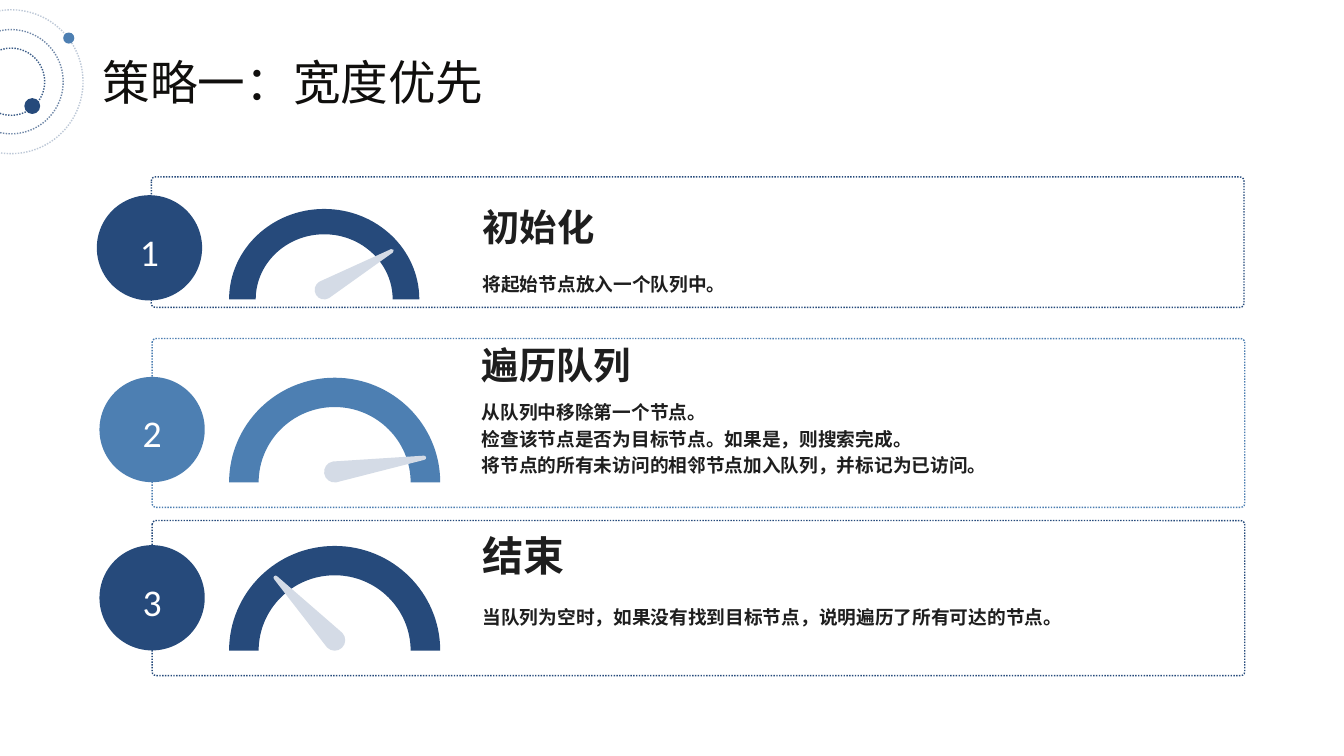
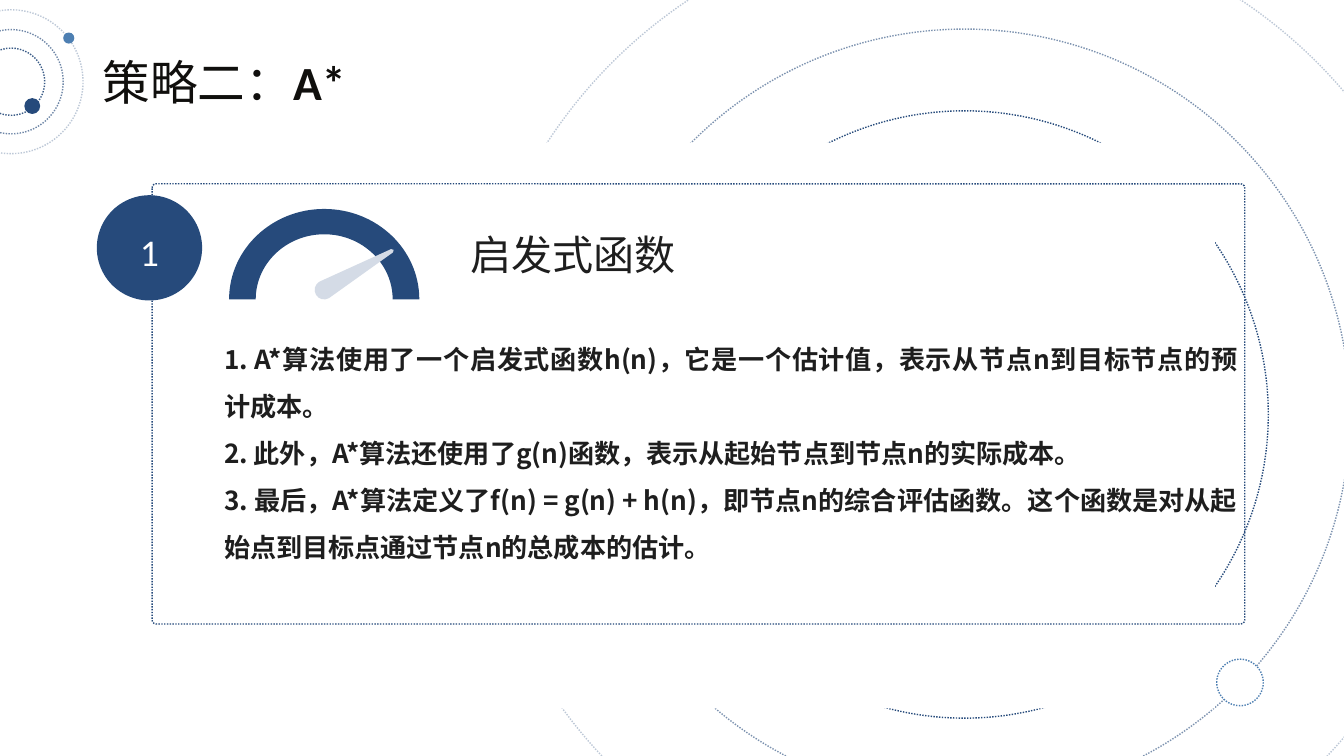
from dataclasses import dataclass
from math import cos, radians, sin, tan

from lxml.etree import SubElement
from pptx import Presentation
from pptx.dml.color import RGBColor
from pptx.enum.dml import MSO_LINE_DASH_STYLE as Dash
from pptx.enum.shapes import MSO_SHAPE as Preset
from pptx.enum.text import MSO_ANCHOR as Anchor, PP_ALIGN as Align
from pptx.oxml.ns import qn
from pptx.shapes.autoshape import Shape
from pptx.slide import Slide
from pptx.util import Cm, Pt

Point = tuple[float, float]
Segment = tuple[Point, ...]


@dataclass(frozen=True)
class Theme:
    navy: str = "264A7B"
    blue: str = "4D7FB2"
    needle: str = "D4DBE6"
    white: str = "FFFFFF"
    title: str = "100F0D"
    ink: str = "1E1E1E"
    latin: str = "Calibri"
    chinese: str = "Noto Sans CJK SC"
    title_size: float = 51
    number_size: float = 40.4
    heading_size: float = 40
    large_heading_size: float = 44
    body_size: float = 20
    large_body_size: float = 28
    line_width: float = 1.5


THEME = Theme()


@dataclass(frozen=True)
class Area:
    left: float
    top: float
    width: float
    height: float

    def lengths(self) -> tuple[Cm, Cm, Cm, Cm]:
        return Cm(self.left), Cm(self.top), Cm(self.width), Cm(self.height)


@dataclass(frozen=True)
class Circle:
    x: float
    y: float
    radius: float

    def area(self) -> Area:
        side = 2 * self.radius
        return Area(self.x - self.radius, self.y - self.radius, side, side)


@dataclass(frozen=True)
class TextStyle:
    size: float
    color: str
    font: str
    spacing: Pt | float
    bold: bool = False
    align: Align = Align.LEFT


@dataclass(frozen=True)
class Span:
    text: str
    bold: bool = False


@dataclass(frozen=True)
class Gauge:
    width: float
    height: float
    base: float
    angle: float
    reach: float
    left: float = 8.66


@dataclass(frozen=True)
class Step:
    number: str
    color: str
    panel: Area
    gauge: Gauge
    badge: Circle
    heading: str
    heading_area: Area
    heading_style: TextStyle
    lines: tuple[str, ...]
    body_area: Area
    body_style: TextStyle


TITLE = TextStyle(THEME.title_size, THEME.title, THEME.latin, Pt(61.2))
NUMBER = TextStyle(THEME.number_size, THEME.white, THEME.latin, Pt(48.4), align=Align.CENTER)
HEADING = TextStyle(THEME.heading_size, THEME.ink, THEME.chinese, Pt(43.7), True)
END_HEADING = TextStyle(THEME.large_heading_size, THEME.ink, THEME.chinese, Pt(43.7), True)
PLAIN_HEADING = TextStyle(THEME.large_heading_size, THEME.ink, THEME.latin, Pt(43.7))
BODY = TextStyle(THEME.body_size, THEME.ink, THEME.chinese, Pt(28.6), True, Align.JUSTIFY)
LARGE_BODY = TextStyle(THEME.large_body_size, THEME.ink, THEME.chinese, 1.5, True, Align.JUSTIFY)

FIRST_GAUGE = Gauge(7.19, 3.42, 11.32, 30, 2.96)
FIRST_BADGE = Circle(5.65, 9.37, 1.99)

SEARCH_STEPS = (
    Step("1", THEME.navy, Area(5.72, 6.69, 41.3, 4.93), FIRST_GAUGE, FIRST_BADGE,
         "初始化", Area(18.24, 7.87, 7.34, 1.55), HEADING,
         ("将起始节点放入一个队列中。",), Area(18.24, 10.15, 27.41, 1.02), BODY),
    Step("2", THEME.blue, Area(5.75, 12.8, 41.3, 6.38),
         Gauge(7.98, 3.96, 18.24, 9, 3.42), Circle(5.75, 16.24, 1.99),
         "遍历队列", Area(18.21, 13.08, 7.34, 1.52), HEADING,
         ("从队列中移除第一个节点。",
          "检查该节点是否为目标节点。如果是，则搜索完成。",
          "将节点的所有未访问的相邻节点加入队列，并标记为已访问。"),
         Area(18.21, 14.99, 27.41, 4.32), BODY),
    Step("3", THEME.navy, Area(5.75, 19.68, 41.3, 5.86),
         Gauge(7.98, 3.96, 24.6, 133.4, 3.25), Circle(5.75, 22.6, 1.99),
         "结束", Area(18.24, 20.38, 7.34, 1.55), END_HEADING,
         ("当队列为空时，如果没有找到目标节点，说明遍历了所有可达的节点。",),
         Area(18.24, 22.76, 27.41, 1.02), BODY),
)

HEURISTIC_STEP = Step(
    "1", THEME.navy, Area(5.75, 6.95, 41.3, 16.64), FIRST_GAUGE, FIRST_BADGE,
    "启发式函数", Area(17.78, 8.99, 8.23, 2.29), PLAIN_HEADING,
    ("1. A*算法使用了一个启发式函数h(n)，它是一个估计值，表示从节点n到目标节点的预计成本。",
     "2. 此外，A*算法还使用了g(n)函数，表示从起始节点到节点n的实际成本。",
     "3. 最后，A*算法定义了f(n) = g(n) + h(n)，即节点n的综合评估函数。"
     "这个函数是对从起始点到目标点通过节点n的总成本的估计。"),
    Area(8.47, 12.38, 38.3, 11.58), LARGE_BODY)


def paint(shape: Shape, fill: str | None = None, line: str | None = None, opacity: int = 100) -> None:
    shape.shadow.inherit = False
    if fill:
        shape.fill.solid()
        shape.fill.fore_color.rgb = RGBColor.from_string(fill)
    else:
        shape.fill.background()
    if not line:
        shape.line.fill.background()
        return
    shape.line.color.rgb = RGBColor.from_string(line)
    shape.line.width = Pt(THEME.line_width)
    shape.line.dash_style = Dash.ROUND_DOT
    if opacity < 100:
        color = shape.line._ln.find(".//" + qn("a:srgbClr"))
        SubElement(color, qn("a:alpha")).set("val", str(opacity * 1000))


def add_preset(page: Slide, preset: Preset, area: Area, fill: str | None = None,
               line: str | None = None, opacity: int = 100) -> Shape:
    shape = page.shapes.add_shape(preset, *area.lengths())
    paint(shape, fill, line, opacity)
    return shape


def add_outline(page: Slide, segments: list[Segment], fill: str) -> None:
    corners = [(Cm(x), Cm(y)) for segment in segments for x, y in segment]
    builder = page.shapes.build_freeform(*corners[0])
    builder.add_line_segments(corners[1:], close=True)
    shape = builder.convert_to_shape()
    steps = iter(shape._element.findall(".//" + qn("a:lnTo")))
    for segment in segments[1:]:
        first, *others = [next(steps) for _ in segment]
        if others:
            curve = SubElement(first.getparent(), qn("a:cubicBezTo"))
            first.addprevious(curve)
            for step in (first, *others):
                curve.append(step[0])
                step.getparent().remove(step)
    paint(shape, fill)


def add_text(page: Slide, area: Area, paragraphs: list[list[Span]], style: TextStyle) -> None:
    frame = page.shapes.add_textbox(*area.lengths()).text_frame
    frame.word_wrap = True
    frame.vertical_anchor = Anchor.TOP
    frame.margin_left = frame.margin_top = frame.margin_right = frame.margin_bottom = 0
    for index, spans in enumerate(paragraphs):
        para = frame.add_paragraph() if index else frame.paragraphs[0]
        para.alignment = style.align
        para.line_spacing = style.spacing
        for span in spans:
            run = para.add_run()
            run.text = span.text
            run.font.size = Pt(style.size)
            run.font.name = style.font
            run.font.bold = style.bold or span.bold
            run.font.color.rgb = RGBColor.from_string(style.color)
            east_asian = SubElement(run.font._element, qn("a:ea"))
            east_asian.set("typeface", THEME.chinese)


def arc(x: float, y: float, across: float, up: float, start: float, end: float) -> list[Segment]:
    def place(angle: float, pull: float = 0) -> Point:
        return (x + across * (cos(angle) - pull * sin(angle)),
                y - up * (sin(angle) + pull * cos(angle)))

    first, middle, last = (radians(angle) for angle in (start, (start + end) / 2, end))
    pull = 4 / 3 * tan((middle - first) / 4)
    return [(place(first),)] + [(place(a, pull), place(b, -pull), place(b))
                                for a, b in ((first, middle), (middle, last))]


def add_gauge(page: Slide, gauge: Gauge, color: str) -> None:
    half = gauge.width / 2
    center = gauge.left + half
    inner = 0.72
    add_outline(page, arc(center, gauge.base, half, gauge.height, 180, 0)
                + arc(center, gauge.base, half * inner, gauge.height * inner, 0, 180), color)
    hub, tip = gauge.width * 0.05, gauge.width * 0.01
    pivot = gauge.base - hub
    angle = gauge.angle
    tip_x = center + gauge.reach * cos(radians(angle))
    tip_y = pivot - gauge.reach * sin(radians(angle))
    add_outline(page, arc(center, pivot, hub, hub, angle + 90, angle + 270)
                + arc(tip_x, tip_y, tip, tip, angle - 90, angle + 90), THEME.needle)


def add_orbits(page: Slide, x: float, y: float, rings: tuple[tuple[float, int], ...]) -> None:
    for radius, opacity in rings:
        add_preset(page, Preset.OVAL, Circle(x, y, radius).area(), line=THEME.navy, opacity=opacity)


def add_header(page: Slide, spans: list[Span]) -> None:
    add_text(page, Area(3.88, 2.01, 17.37, 2.18), [spans], TITLE)
    add_orbits(page, 0.42, 3.09, ((2.72, 30), (1.97, 65), (1.27, 90)))
    add_preset(page, Preset.OVAL, Circle(1.22, 4.01, 0.3).area(), THEME.navy)
    add_preset(page, Preset.OVAL, Circle(2.6, 1.44, 0.21).area(), THEME.blue)


def add_step(page: Slide, step: Step) -> None:
    panel = add_preset(page, Preset.ROUNDED_RECTANGLE, step.panel, line=step.color)
    panel.adjustments[0] = 0.15 / step.panel.height
    add_gauge(page, step.gauge, step.color)
    add_text(page, step.body_area, [[Span(line)] for line in step.lines], step.body_style)
    add_text(page, step.heading_area, [[Span(step.heading)]], step.heading_style)
    badge = step.badge
    add_preset(page, Preset.OVAL, badge.area(), step.color)
    add_text(page, Area(badge.x - 1.78, badge.y - 0.73, 3.56, 1.73), [[Span(step.number)]], NUMBER)


def add_backdrop(page: Slide) -> None:
    add_orbits(page, 36.46, 15.67, ((18.83, 30), (14.57, 60), (11.48, 100)))
    add_preset(page, Preset.OVAL, Circle(46.87, 25.8, 0.88).area(), THEME.white, THEME.blue)
    add_preset(page, Preset.RECTANGLE, Area(5.28, 5.39, 40.64, 21.39), THEME.white)


def main() -> None:
    deck = Presentation()
    deck.slide_width, deck.slide_height = Cm(50.8), Cm(28.58)
    blank = deck.slide_layouts[6]

    breadth_page = deck.slides.add_slide(blank)
    add_header(breadth_page, [Span("策略一：宽度优先")])
    for step in SEARCH_STEPS:
        add_step(breadth_page, step)

    star_page = deck.slides.add_slide(blank)
    add_backdrop(star_page)
    add_header(star_page, [Span("策略二："), Span("A*", bold=True)])
    add_step(star_page, HEURISTIC_STEP)

    deck.save("out.pptx")


if __name__ == "__main__":
    main()
